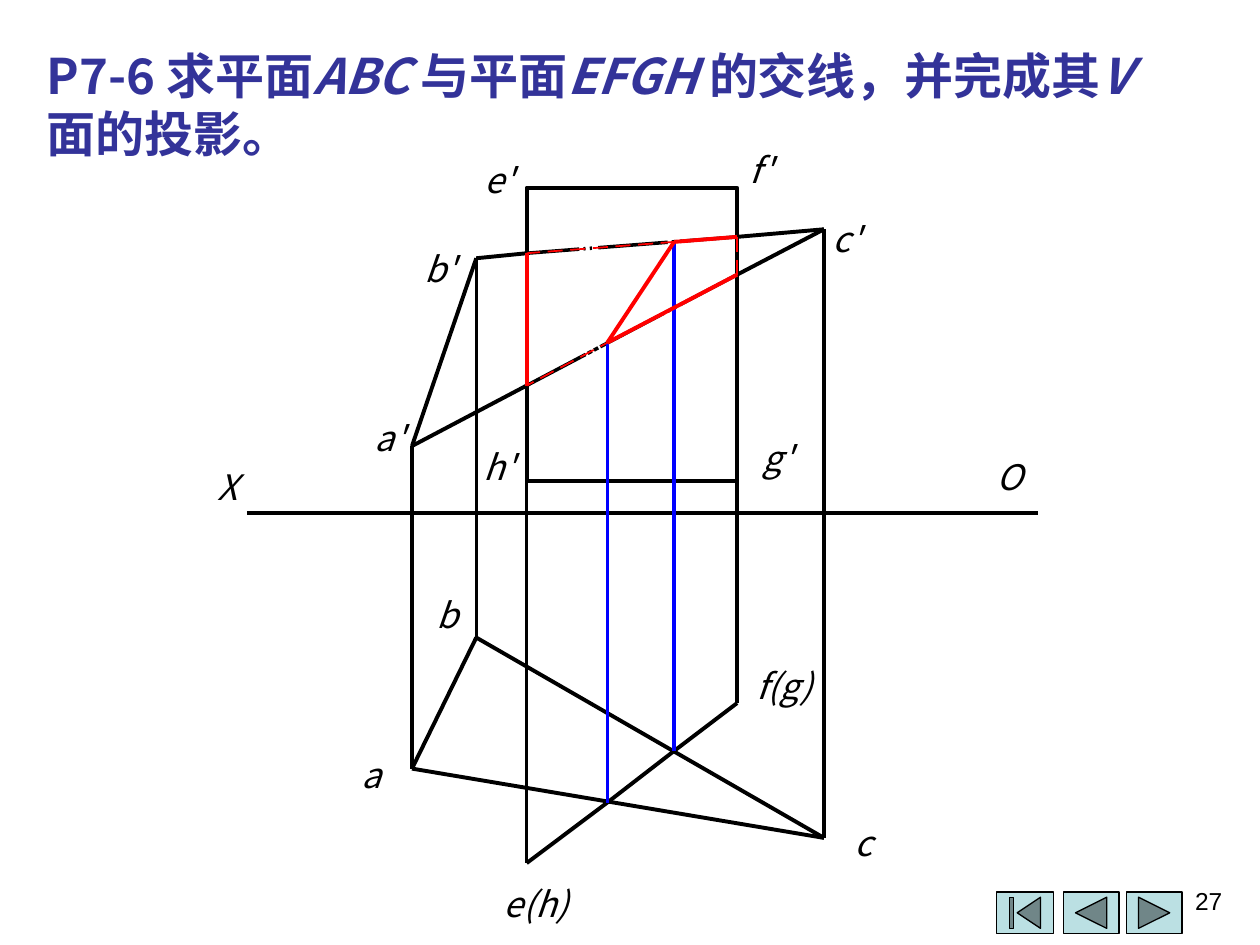
"""Build the slide on the line where planes ABC and EFGH meet."""
from math import dist

from lxml import etree
from pptx import Presentation
from pptx.dml.color import RGBColor
from pptx.enum.shapes import MSO_CONNECTOR, MSO_SHAPE
from pptx.enum.text import MSO_ANCHOR, PP_ALIGN
from pptx.oxml.ns import qn
from pptx.util import Inches, Pt

LINE = MSO_CONNECTOR.STRAIGHT
FIRST = MSO_SHAPE.ACTION_BUTTON_BEGINNING
BACK = MSO_SHAPE.ACTION_BUTTON_BACK_OR_PREVIOUS
NEXT = MSO_SHAPE.ACTION_BUTTON_FORWARD_OR_NEXT
TOP = MSO_ANCHOR.TOP
LEFT, MID, RIGHT = PP_ALIGN.LEFT, PP_ALIGN.CENTER, PP_ALIGN.RIGHT

COLORS = {"ink": "000000", "title": "333399", "cut": "FF0000",
          "trace": "0000FF", "key": "BBE0E3"}
CJK = "Noto Sans CJK SC"
HAIR, THIN, BOLD = 0, 1, 2.25
DASH, GAP = 0.12, 0.06


def rgb(name):
    return RGBColor.from_string(COLORS[name])


def write(par, text, size=20, font=CJK, color="ink", bold=False, italic=False):
    run = par.add_run()
    run.text = text
    style = run.font
    style.size, style.name = Pt(size), font
    style.bold, style.italic = bold, italic
    style.color.rgb = rgb(color)
    etree.SubElement(run._r.get_or_add_rPr(), qn("a:ea"), typeface=font)


def along(start, end, part):
    return tuple(a + (b - a) * part for a, b in zip(start, end))


class Sheet:
    def __init__(self):
        self.deck = Presentation()
        self.deck.slide_width, self.deck.slide_height = Inches(10), Inches(7.5)
        self.slide = self.deck.slides.add_slide(self.deck.slide_layouts[5])
        self.shapes = self.slide.shapes

    def title(self, parts, box):
        shape = self.shapes.title
        shape.left, shape.top, shape.width, shape.height = map(Inches, box)
        frame = shape.text_frame
        frame.word_wrap, frame.vertical_anchor = True, TOP
        frame.margin_top = Inches(0.1)
        par = frame.paragraphs[0]
        par.alignment, par.line_spacing = LEFT, Pt(33)
        for text, slant in parts:
            write(par, text, size=28, color="title", bold=True, italic=slant)

    def text(self, text, box, align=MID, inset=(0, 0), wrap=False, pitch=None, **style):
        frame = self.shapes.add_textbox(*map(Inches, box)).text_frame
        frame.word_wrap = wrap
        frame.margin_left = frame.margin_right = Inches(inset[0])
        frame.margin_top = frame.margin_bottom = Inches(inset[1])
        par = frame.paragraphs[0]
        par.alignment = align
        if pitch:
            par.line_spacing = Pt(pitch)
        write(par, text, **style)

    def line(self, start, end, color="ink", width=BOLD):
        wire = self.shapes.add_connector(LINE, *map(Inches, (*start, *end)))
        wire.line.color.rgb, wire.line.width = rgb(color), Pt(width)
        etree.SubElement(wire._element.spPr, qn("a:effectLst"))

    def spans(self, start, end, cuts, **style):
        for low, high in zip(cuts[::2], cuts[1::2]):
            self.line(along(start, end, low), along(start, end, high), **style)

    def dashes(self, start, end, count):
        size, step = dist(start, end), DASH + GAP
        first = (size - count * step + GAP) / 2
        ends = [first + i * step + d for i in range(count) for d in (0, DASH)]
        cuts = [min(max(at / size, 0), 1) for at in ends]
        self.spans(start, end, cuts, color="cut", width=THIN)

    def path_of(self, points):
        spots = [tuple(map(Inches, spot)) for spot in points]
        pen = self.shapes.build_freeform(*spots[0], scale=1.0)
        pen.add_line_segments(spots[1:], close=False)
        shape = pen.convert_to_shape()
        shape.shadow.inherit = False
        shape.fill.background()
        shape.line.color.rgb, shape.line.width = rgb("ink"), Pt(BOLD)

    def button(self, kind, box):
        shape = self.shapes.add_shape(kind, *map(Inches, box))
        shape.shadow.inherit = False
        shape.fill.solid()
        shape.fill.fore_color.rgb = rgb("key")
        shape.line.color.rgb, shape.line.width = rgb("ink"), Pt(0.75)


def main():
    sheet = Sheet()
    sheet.title([("P7-6 求平面", False), ("ABC ", True), ("与平面", False),
                 ("EFGH ", True), ("的交线，并完成其", False),
                 ("V ", True), ("面的投影。", False)], (0.27, 0.27, 9.21, 1.04))
    for kind, left, wide in ((NEXT, 8.94, 0.44), (BACK, 8.44, 0.44), (FIRST, 7.91, 0.45)):
        sheet.button(kind, (left, 7.08, wide, 0.33))

    a_up, b_up, c_up = (3.27, 3.54), (3.78, 2.05), (6.54, 1.82)
    a, b, c = (3.27, 6.1), (3.78, 5.06), (6.54, 6.65)
    e_up, f_up, g_up, h_up = (4.18, 1.49), (5.85, 1.49), (5.85, 3.82), (4.18, 3.82)
    e, f = (4.18, 6.85), (5.85, 5.58)
    nw, ne, sw, se = (4.18, 2.01), (5.85, 1.88), (4.18, 3.06), (5.85, 2.18)
    m_up, n_up, m, n = (4.82, 2.72), (5.35, 1.92), (4.82, 6.37), (5.35, 5.96)

    sheet.line((1.96, 4.07), (8.24, 4.07), width=HAIR)
    sheet.path_of([nw, e_up, f_up, ne])
    sheet.path_of([se, g_up, h_up, sw])
    for start, end in ((b_up, nw), (ne, c_up), (c_up, se), (sw, a_up), (a_up, b_up),
                       (a, b), (b, c), (a, c), (e, m), (m, n), (n, f)):
        sheet.line(start, end)
    for start, end in ((a_up, a), (b_up, b), (c_up, c), (g_up, f), (h_up, e), (se, ne)):
        sheet.line(start, end, width=HAIR)
    for start, end, cuts in (
            (nw, ne, (0, .25, .27, .28, .3, .31, .34, .67, .69, .71, .73, .74, .76, 1)),
            (sw, se, (0, .28, .29, .31, .32, .34, .35, .65, .67, .68, .7, .71, .73, 1)),
            (sw, nw, (0, .43, .47, .49, .51, .54, .57, 1))):
        sheet.spans(start, end, cuts, width=HAIR)

    for start, end in ((n, n_up), (m, m_up)):
        sheet.line(start, end, color="trace", width=HAIR)
    for start, end in ((n_up, m_up), (sw, nw), (n_up, ne), (se, m_up)):
        sheet.line(start, end, color="cut")
    for start, end, count in ((nw, n_up, 7), (ne, se, 2), (m_up, sw, 5)):
        sheet.dashes(start, end, count)

    for text, left, top, wide in (
            ("X", 1.72, 3.67, 0.17), ("a'", 2.92, 3.28, 0.34),
            ("c'", 6.55, 1.7, 0.34), ("b'", 3.32, 1.94, 0.34),
            ("e(h)", 3.92, 6.98, 0.67), ("f(g)", 5.89, 5.25, 0.67),
            ("e'", 3.79, 1.23, 0.34), ("c", 6.73, 6.49, 0.24),
            ("a", 2.86, 5.95, 0.17), ("g'", 6, 3.44, 0.34),
            ("f'", 5.87, 1.15, 0.34), ("h'", 3.79, 3.51, 0.34),
            ("b", 3.43, 4.68, 0.24)):
        sheet.text(text, (left, top, wide, 0.33), pitch=26, italic=True)
    sheet.text("O", (7.91, 3.59, 0.31, 0.33), align=LEFT, wrap=True, pitch=26, italic=True)
    sheet.text("27", (7.47, 6.98, 2.33, 0.52), align=RIGHT, inset=(0.1, 0.05),
               wrap=True, size=14, font="Arial")
    sheet.deck.save("out.pptx")


if __name__ == "__main__":
    main()
